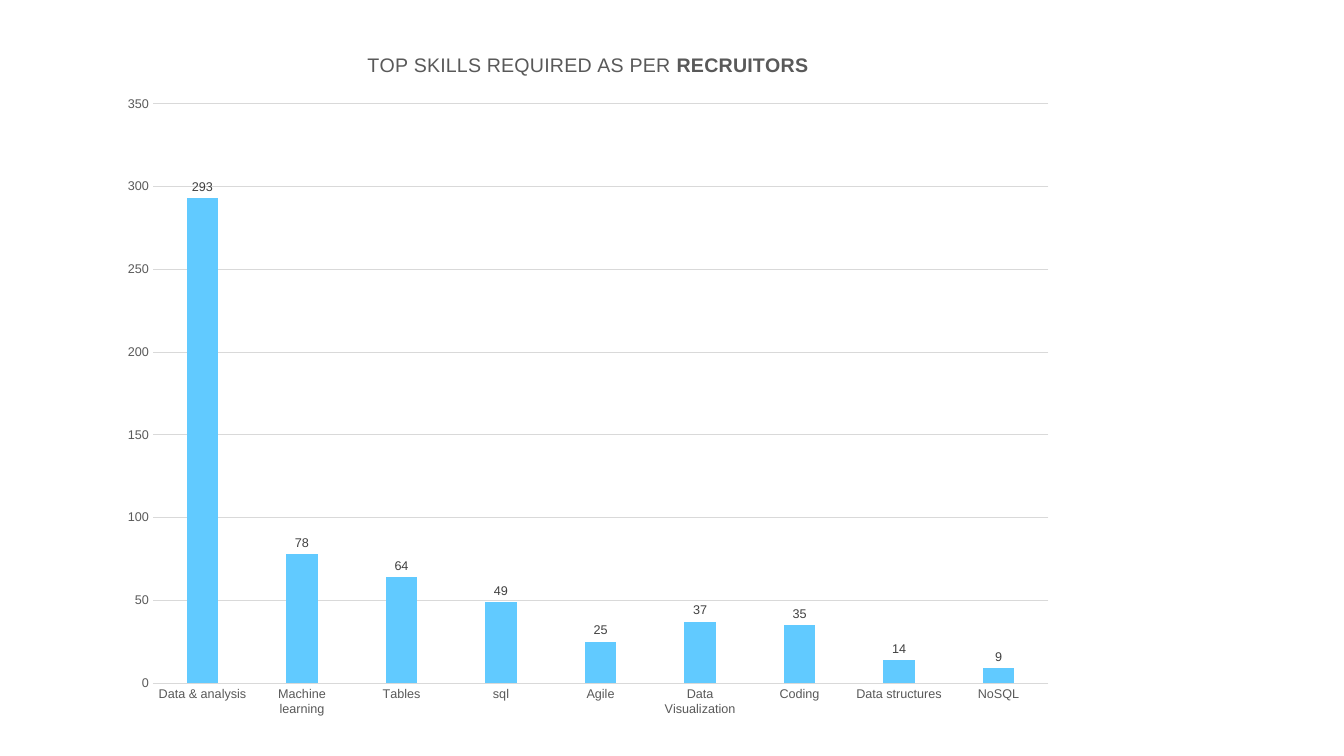
from pptx import Presentation
from pptx import util as u
from pptx.chart.data import CategoryChartData
from pptx.dml.color import RGBColor
from pptx.enum import chart as ch
from pptx.oxml import parse_xml
from pptx.oxml.ns import nsdecls, qn

COLORS = {"bar": "61CAFF", "grid": "D9D9D9", "axis": "595959", "label": "404040"}
CHART_WIDTH, CHART_HEIGHT = 24.13, 17.63
SKILLS = {
    "Data & analysis": 293,
    "Machine learning": 78,
    "Tables": 64,
    "sql": 49,
    "Agile": 25,
    "Data Visualization": 37,
    "Coding": 35,
    "Data structures": 14,
    "NoSQL": 9,
}


def style_font(font, color="axis", size=9, bold=False):
    font.name = "Arial"
    font.size = u.Pt(size)
    font.bold = bold
    font.color.rgb = RGBColor.from_string(COLORS[color])


def add_text(p, text, **fmt):
    r = p.add_run()
    r.text = text
    style_font(r.font, **fmt)


def style_line(line, color):
    line.color.rgb = RGBColor.from_string(COLORS[color])
    line.width = u.Pt(0.75)


def place(element, index, inner=False, **lengths):
    """Give a chart part a manual layout, in cm from the chart's corner."""
    for old in element.findall(qn("c:layout")):
        element.remove(old)
    target = '<c:layoutTarget val="inner"/>' if inner else ""
    modes = '<c:xMode val="edge"/><c:yMode val="edge"/>'
    values = "".join(
        f'<c:{k} val="{v / (CHART_WIDTH if k in "xw" else CHART_HEIGHT)}"/>'
        for k, v in lengths.items())
    element.insert(index, parse_xml(
        f'<c:layout {nsdecls("c")}><c:manualLayout>{target}{modes}{values}'
        "</c:manualLayout></c:layout>"))


class Deck:
    def __init__(self):
        self.prs = Presentation()
        self.prs.slide_width, self.prs.slide_height = u.Cm(33.87), u.Cm(19.05)
        self.s = self.prs.slides.add_slide(self.prs.slide_layouts[6])

    def column_chart(self, values, left, top):
        data = CategoryChartData()
        data.categories = list(values)
        data.add_series("Series 1", list(values.values()))
        box = [u.Cm(n) for n in (left, top, CHART_WIDTH, CHART_HEIGHT)]
        chart = self.s.shapes.add_chart(
            ch.XL_CHART_TYPE.COLUMN_CLUSTERED, *box, data).chart
        chart.has_legend = False
        chart.font.name, chart.font.size = "Arial", u.Pt(10)
        self.style_columns(chart.plots[0])
        self.style_axes(chart)
        plot_area = chart.plots[0]._element.getparent()
        place(plot_area, 0, inner=True, x=1.11, y=1.83, w=22.57, h=14.6)
        return chart

    def style_columns(self, plot):
        plot.gap_width, plot.overlap = 219, -27
        plot.vary_by_categories = False
        fill = plot.series[0].format.fill
        fill.solid()
        fill.fore_color.rgb = RGBColor.from_string(COLORS["bar"])
        plot.has_data_labels = True
        labels = plot.data_labels
        labels.show_value = True
        labels.position = ch.XL_LABEL_POSITION.OUTSIDE_END
        style_font(labels.font, "label")

    def style_axes(self, chart):
        for axis in (chart.category_axis, chart.value_axis):
            axis.major_tick_mark = axis.minor_tick_mark = ch.XL_TICK_MARK.NONE
            style_font(axis.tick_labels.font)
        style_line(chart.category_axis.format.line, "grid")
        value_axis = chart.value_axis
        value_axis.minimum_scale, value_axis.maximum_scale = 0, 350
        value_axis.major_unit = 50
        value_axis.format.line.fill.background()
        style_line(value_axis.major_gridlines.format.line, "grid")

    def chart_title(self, chart, plain, strong):
        title = chart.chart_title
        p = title.text_frame.paragraphs[0]
        add_text(p, plain, size=14)
        add_text(p, strong, size=14, bold=True)
        place(title._element, 1, x=6.44, y=0.47)


def main():
    deck = Deck()
    chart = deck.column_chart(SKILLS, 2.74, 0.79)
    deck.chart_title(chart, "TOP SKILLS REQUIRED AS PER ", "RECRUITORS")
    deck.prs.save("out.pptx")


if __name__ == "__main__":
    main()
